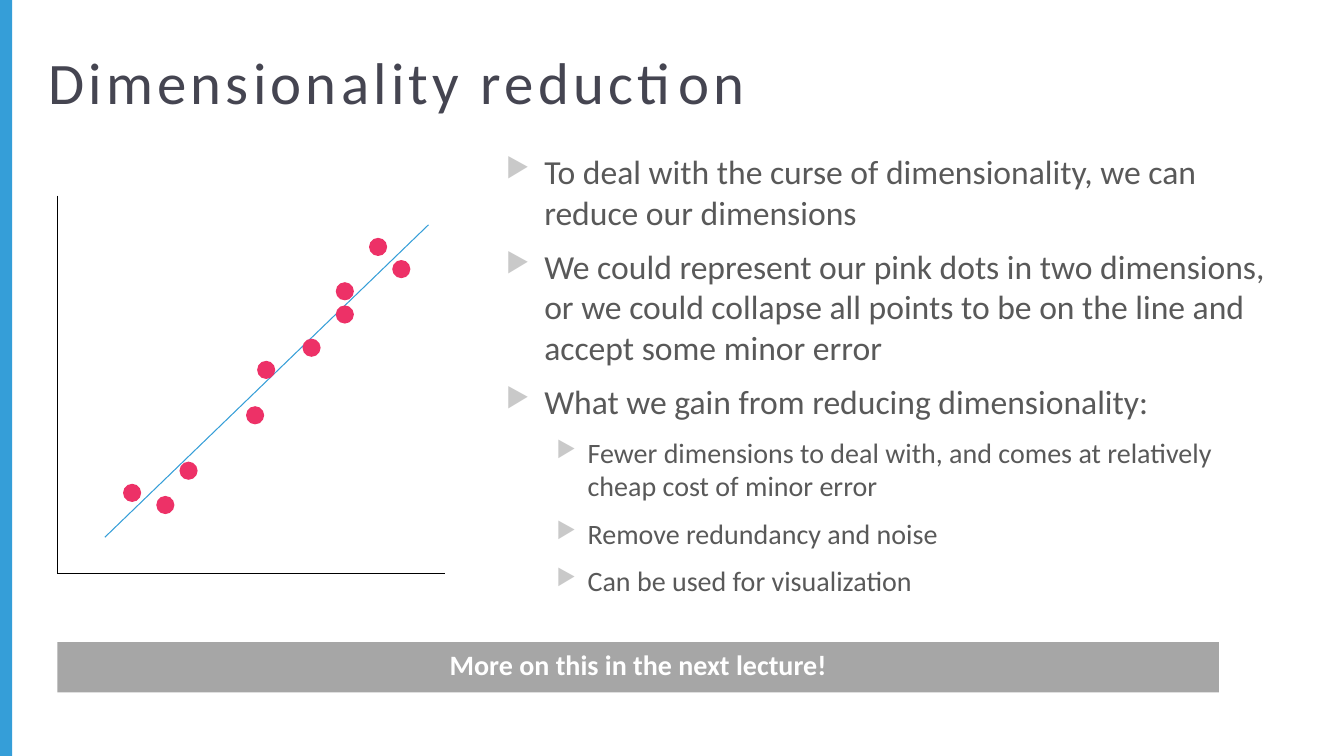
from lxml import etree
from pptx import Presentation
from pptx.dml.color import RGBColor
from pptx.enum.shapes import MSO_CONNECTOR, MSO_SHAPE
from pptx.enum.text import MSO_ANCHOR, PP_ALIGN
from pptx.oxml.ns import qn
from pptx.util import Inches, Pt

RECTANGLE = MSO_SHAPE.RECTANGLE
OVAL = MSO_SHAPE.OVAL
STRAIGHT = MSO_CONNECTOR.STRAIGHT
TOP = MSO_ANCHOR.TOP
LEFT = PP_ALIGN.LEFT
CENTER = PP_ALIGN.CENTER

BLUE, PINK, BLACK, WHITE = "359ED8", "ED3167", "000000", "FFFFFF"
TITLE_GRAY, TEXT_GRAY = "454551", "595959"
BULLET_GRAY, BANNER_GRAY = "C9C9C9", "A6A6A6"

DOT_SIZE = 0.18
DOTS = [
    (3.66, 2.36), (3.89, 2.58), (3.33, 2.8), (3.33, 3.03), (3, 3.36),
    (2.55, 3.58), (2.44, 4.03), (1.78, 4.58), (1.22, 4.8), (1.55, 4.92),
]
AXIS_ORIGIN = (0.57, 5.69)
LINES = [
    ((1.04, 5.33), (4.25, 2.23), BLUE),
    ((0.57, 1.94), AXIS_ORIGIN, BLACK),
    (AXIS_ORIGIN, (4.41, 5.69), BLACK),
]
POINTS = [
    (0, "To deal with the curse of dimensionality, we can reduce our dimensions"),
    (0, "We could represent our pink dots in two dimensions, or we could collapse "
        "all points to be on the line and accept some minor error"),
    (0, "What we gain from reducing dimensionality:"),
    (1, "Fewer dimensions to deal with, and comes at relatively cheap cost of minor error"),
    (1, "Remove redundancy and noise"),
    (1, "Can be used for visualization"),
]
LEVELS = [(24, 0.38, -0.38), (20, 0.81, -0.31)]


def color(value):
    """Turn a hex string into a colour."""
    return RGBColor.from_string(value)


class SlideBuilder:
    """Draws styled elements on one slide."""

    font_name = "Calibri"

    def __init__(self, page):
        """Keep the slide to draw on."""
        self.page = page

    def style(self, paragraph, size, ink, bold=False):
        """Format every run of a paragraph."""
        for span in paragraph.runs:
            span.font.name = self.font_name
            span.font.size = Pt(size)
            span.font.bold = bold
            span.font.color.rgb = color(ink)

    def title(self, text, left, top, width, height):
        """Place and format the title placeholder."""
        box = self.page.shapes.title
        box.left, box.top = Inches(left), Inches(top)
        box.width, box.height = Inches(width), Inches(height)
        frame = box.text_frame
        frame.text = text
        frame.vertical_anchor = TOP
        frame.margin_left = Inches(0.05)
        frame.margin_top = Inches(0.08)
        para = frame.paragraphs[0]
        para.alignment = LEFT
        self.style(para, 42, TITLE_GRAY)
        for span in para.runs:
            span.font._element.set("spc", "300")

    def shape(self, kind, left, top, width, height, fill):
        """Add a filled shape without outline or shadow."""
        shape = self.page.shapes.add_shape(
            kind, Inches(left), Inches(top), Inches(width), Inches(height))
        shape.shadow.inherit = False
        shape.fill.solid()
        shape.fill.fore_color.rgb = color(fill)
        shape.line.fill.background()
        return shape

    def banner(self, text, left, top, width, height):
        """Add a gray bar with a bold centred message."""
        frame = self.shape(RECTANGLE, left, top, width, height, BANNER_GRAY).text_frame
        frame.text = text
        frame.vertical_anchor = TOP
        frame.paragraphs[0].alignment = CENTER
        self.style(frame.paragraphs[0], 20, WHITE, bold=True)

    def line(self, start, end, ink):
        """Add a thin straight line between two points."""
        ends = [Inches(value) for value in (*start, *end)]
        line = self.page.shapes.add_connector(STRAIGHT, *ends)
        line.line.color.rgb = color(ink)
        line.line.width = Pt(0.75)
        etree.SubElement(line._element.spPr, qn("a:effectLst"))

    def bullet(self, paragraph, indent, hanging):
        """Give a paragraph a gray triangle bullet and a hanging indent."""
        properties = paragraph._p.get_or_add_pPr()
        properties.set("marL", str(Inches(indent)))
        properties.set("indent", str(Inches(hanging)))
        tint = etree.SubElement(properties, qn("a:buClr"))
        etree.SubElement(tint, qn("a:srgbClr"), val=BULLET_GRAY)
        etree.SubElement(properties, qn("a:buSzPct"), val="80000")
        etree.SubElement(properties, qn("a:buChar"), char="▶")

    def bullets(self, points, left, top, width, height):
        """Add a text box with a two-level bulleted list."""
        box = self.page.shapes.add_textbox(
            Inches(left), Inches(top), Inches(width), Inches(height))
        frame = box.text_frame
        frame.word_wrap = True
        for index, (level, text) in enumerate(points):
            para = frame.add_paragraph() if index else frame.paragraphs[0]
            size, indent, hanging = LEVELS[level]
            para.text = text
            para.level = level
            self.bullet(para, indent, hanging)
            if index:
                para.space_before = Pt(10)
            self.style(para, size, TEXT_GRAY)


def main():
    """Build the slide and save it."""
    deck = Presentation()
    deck.slide_width, deck.slide_height = Inches(13.33), Inches(7.5)
    builder = SlideBuilder(deck.slides.add_slide(deck.slide_layouts[5]))
    builder.shape(RECTANGLE, 0, 0, 0.12, 7.5, BLUE)
    builder.title("Dimensionality reduction", 0.43, 0.37, 10.57, 1.08)
    builder.bullets(POINTS, 4.92, 1.45, 7.83, 4.88)
    for start, end, ink in LINES:
        builder.line(start, end, ink)
    for left, top in DOTS:
        builder.shape(OVAL, left, top, DOT_SIZE, DOT_SIZE, PINK)
    builder.banner("More on this in the next lecture!", 0.57, 6.37, 11.52, 0.5)
    deck.save("out.pptx")


if __name__ == "__main__":
    main()
